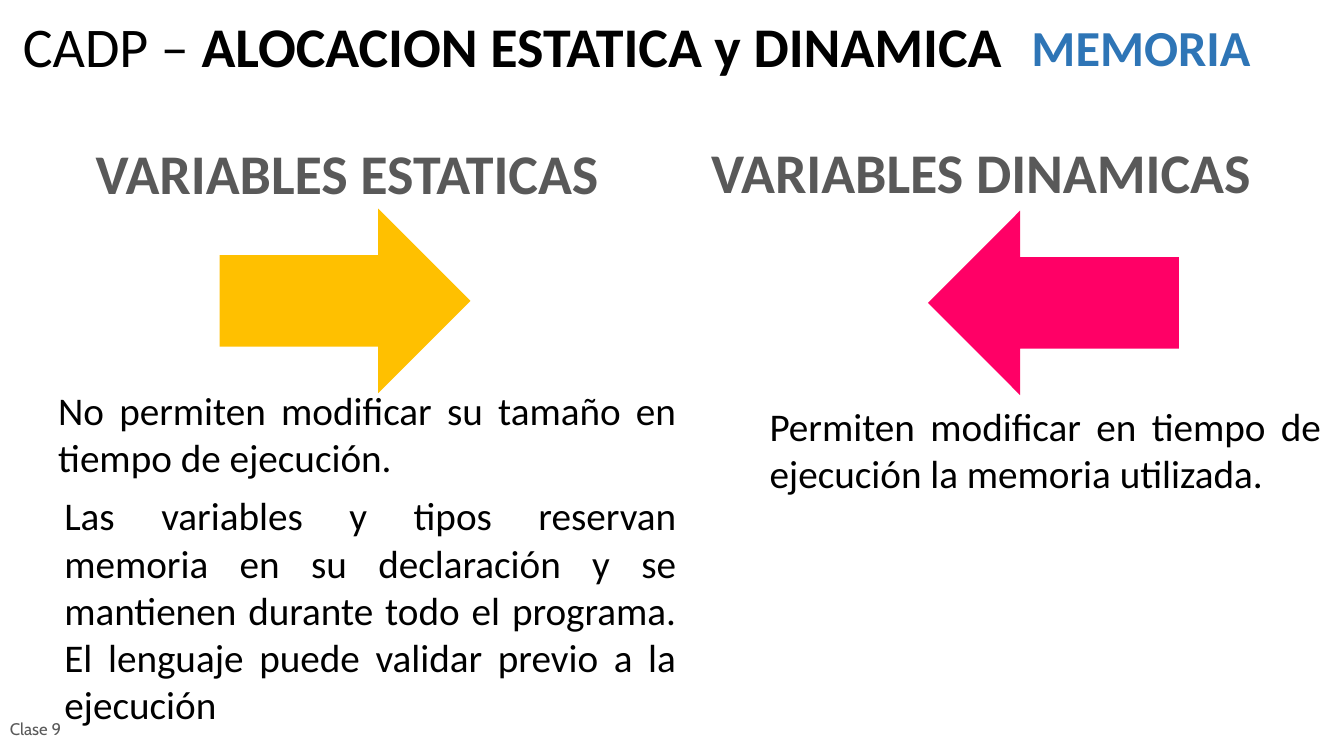
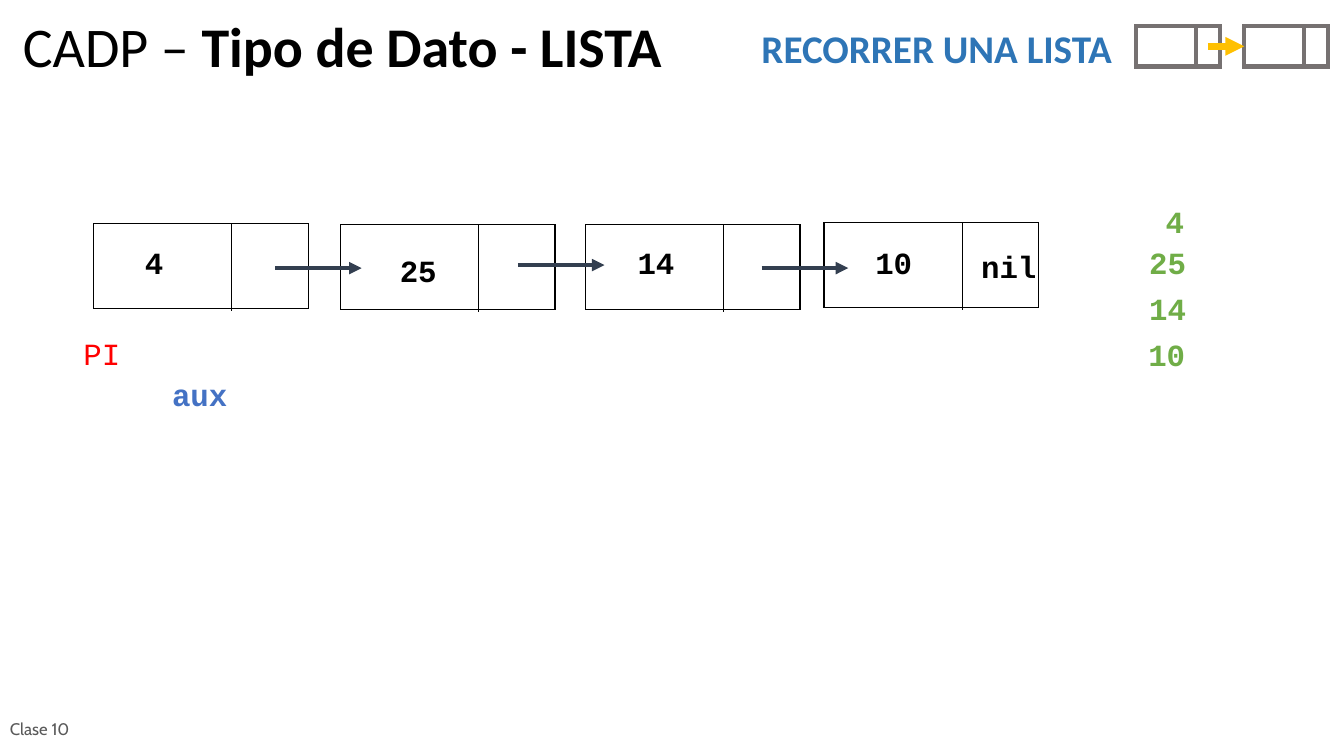
from lxml.etree import SubElement
from pptx import Presentation
from pptx.dml.color import RGBColor
from pptx.enum.shapes import MSO_CONNECTOR, MSO_SHAPE
from pptx.enum.text import MSO_ANCHOR, PP_ALIGN
from pptx.oxml.ns import qn
from pptx.util import Pt

PX = 9144  # EMU per px, 100 px to the inch

BLACK = RGBColor(0x00, 0x00, 0x00)
GRAY = RGBColor(0x59, 0x59, 0x59)
STEEL = RGBColor(0x76, 0x71, 0x71)
NAVY = RGBColor(0x33, 0x3F, 0x50)
BLUE = RGBColor(0x2E, 0x75, 0xB6)
SKY = RGBColor(0x44, 0x72, 0xC4)
GREEN = RGBColor(0x70, 0xAD, 0x47)
GOLD = RGBColor(0xFF, 0xC0, 0x00)
PINK = RGBColor(0xFF, 0x00, 0x66)
RED = RGBColor(0xFF, 0x00, 0x00)

SANS, MONO, FOOT = "Calibri", "Courier New", "Cabin"


def write(para, text, font=SANS, size=28, color=BLACK, bold=False):
    """Add one formatted run to a paragraph."""
    run = para.add_run()
    run.text = text
    run.font.name = font
    run.font.size = Pt(size)
    run.font.color.rgb = color
    run.font.bold = bold


def stroke(item, color, width):
    """Set the outline with sharp corners and return its XML element."""
    item.line.color.rgb = color
    item.line.width = Pt(width)
    outline = item._element.spPr.find(qn("a:ln"))
    SubElement(outline, qn("a:miter"), lim="800000")
    return outline


class Deck:
    def __init__(self):
        self.prs = Presentation()
        self.prs.slide_width = 1334 * PX
        self.prs.slide_height = 750 * PX
        self.slide = None

    def page(self, topic, foot):
        """Start a slide with the shared title and footer."""
        self.slide = self.prs.slides.add_slide(self.prs.slide_layouts[6])
        para = self.frame(13, 14, 1016, 76).paragraphs[0]
        para.line_spacing = 0.9
        write(para, "CADP – ", size=40)
        write(para, topic, size=40, bold=True)
        self.text(foot, 0, 702, 107, 43, anchor=MSO_ANCHOR.MIDDLE,
                  font=FOOT, size=12, color=GRAY)

    def frame(self, x, y, w, h, anchor=MSO_ANCHOR.TOP):
        box = self.slide.shapes.add_textbox(x * PX, y * PX, w * PX, h * PX)
        frame = box.text_frame
        frame.word_wrap = True
        frame.vertical_anchor = anchor
        return frame

    def text(self, text, x, y, w, h, align=PP_ALIGN.LEFT,
             anchor=MSO_ANCHOR.TOP, **style):
        para = self.frame(x, y, w, h, anchor).paragraphs[0]
        para.alignment = align
        write(para, text, **style)

    def code(self, text, x, y, w, **style):
        self.text(text, x, y, w, 47, font=MONO, size=22, **style)

    def shape(self, kind, x, y, w, h, color, width, fill=None):
        shape = self.slide.shapes.add_shape(kind, x * PX, y * PX, w * PX, h * PX)
        shape.shadow.inherit = False
        if fill is None:
            shape.fill.background()
        else:
            shape.fill.solid()
            shape.fill.fore_color.rgb = fill
        stroke(shape, color, width)
        return shape

    def line(self, x1, y1, x2, y2, color, width, head=False):
        line = self.slide.shapes.add_connector(
            MSO_CONNECTOR.STRAIGHT, x1 * PX, y1 * PX, x2 * PX, y2 * PX)
        outline = stroke(line, color, width)
        if head:
            SubElement(outline, qn("a:tailEnd"), type="triangle")
        SubElement(line._element.spPr, qn("a:effectLst"))
        return line

    def node(self, x, y, w, h, split, drop, color, width, thin):
        """Draw a list cell: a box with a divider for its link field."""
        box = self.shape(MSO_SHAPE.RECTANGLE, x, y, w, h, color, width)
        self.line(x + split, y, x + split, y + drop, color, thin)
        return box


def memory(deck):
    deck.page("ALOCACION ESTATICA y DINAMICA", "Clase 9")
    deck.text("MEMORIA", 1014, 11, 244, 70, size=36, color=BLUE, bold=True)

    # Column heads and arrows
    for text, x, y, kind, left, top, color in (
            ("VARIABLES ESTATICAS", 85, 133, MSO_SHAPE.RIGHT_ARROW,
             220, 212, GOLD),
            ("VARIABLES DINAMICAS", 696, 132, MSO_SHAPE.LEFT_ARROW,
             924, 214, PINK)):
        deck.text(text, x, y, 595, 77, size=40, color=GRAY, bold=True)
        deck.shape(kind, left, top, 244, 173, color, 3, fill=color)

    # Descriptions
    for text, x, y, w, h in (
            ("No permiten modificar su tamaño en tiempo de ejecución.",
             48, 378, 633, 104),
            ("Las variables y tipos reservan memoria en su declaración y se "
             "mantienen durante todo el programa. El lenguaje puede validar "
             "previo a la ejecución", 54, 483, 627, 244),
            ("Permiten modificar en tiempo de ejecución la memoria utilizada.",
             754, 394, 567, 104)):
        deck.text(text, x, y, w, h, align=PP_ALIGN.JUSTIFY)


def walk(deck):
    deck.page("Tipo de Dato - LISTA", "Clase 10")
    deck.text("RECORRER UNA LISTA", 746, 19, 488, 57, color=BLUE, bold=True)

    # Small list icon
    for x in (1128, 1235):
        last = deck.node(x, 26, 83, 40, 59, 40, STEEL, 3, 3)
    link = deck.line(1199, 46, 1235, 46, GOLD, 4.5, head=True)
    link.end_connect(last, 1)

    # List cells and their values
    for x, y, text, left, top in (
            (93, 222, "4", 134, 237), (338, 223, "25", 387, 245),
            (581, 223, "14", 623, 237), (818, 221, "10", 859, 237)):
        deck.node(x, y, 213, 84, 137, 87, BLACK, 1, 0.5)
        deck.code(text, left, top, 70, bold=True)
    deck.code("nil", 964, 241, 85, bold=True)

    # Links between cells
    for x, y in (273, 266), (514, 263), (756, 266):
        deck.line(x, y, x + 86, y, NAVY, 3, head=True)

    # Pointers
    deck.code("PI", 73, 327, 94, color=RED)
    deck.code("aux", 161, 368, 94, color=SKY, bold=True)

    # Printed values
    for text, x, y in (("4", 1132, 196), ("25", 1125, 237),
                       ("14", 1125, 283), ("10", 1124, 328)):
        deck.code(text, x, y, 68, align=PP_ALIGN.CENTER, color=GREEN, bold=True)


def main():
    deck = Deck()
    memory(deck)
    walk(deck)
    deck.prs.save("out.pptx")


if __name__ == "__main__":
    main()
